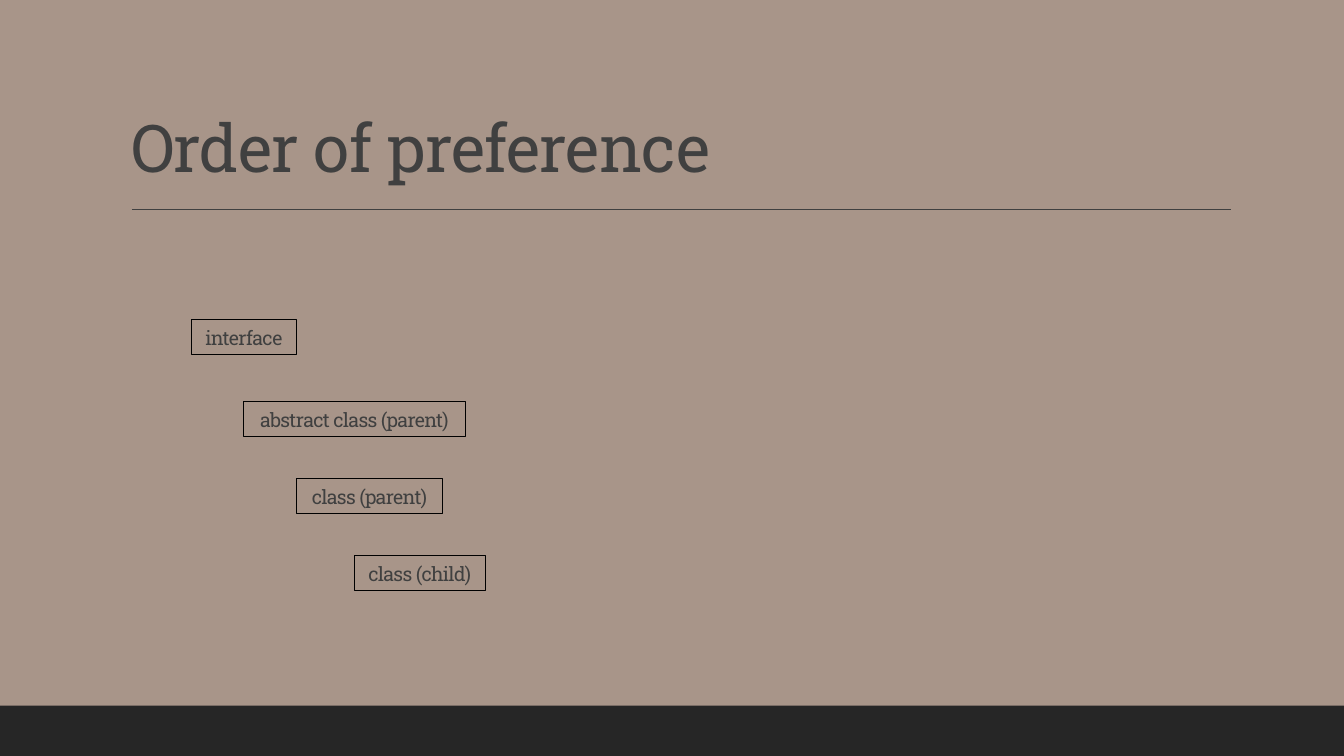
import pptx
import pptx.util
import pptx.dml.color
import pptx.enum.shapes
import pptx.enum.text
import pptx.oxml

Pt = pptx.util.Pt
Align = pptx.enum.text.PP_ALIGN
Rect = pptx.enum.shapes.MSO_SHAPE.RECTANGLE
COLORS = {"back": "A89589", "band": "262626", "text": "404040", "edge": "000000"}
FONT = "Roboto Slab"


def color(name):
    return pptx.dml.color.RGBColor.from_string(COLORS[name])


def write(shape, text, size, align):
    frame = shape.text_frame
    frame.word_wrap = True
    frame.auto_size = pptx.enum.text.MSO_AUTO_SIZE.NONE
    frame.vertical_anchor = pptx.enum.text.MSO_ANCHOR.BOTTOM
    frame.margin_left = frame.margin_right = Pt(7.2)
    frame.margin_top = frame.margin_bottom = Pt(3.6)
    para = frame.paragraphs[0]
    para.alignment = align
    para.line_spacing = 0.9
    para.font.name = FONT
    para.font.size = Pt(size)
    para.font.color.rgb = color("text")
    run = para.add_run()
    run.text = text
    # Tighten letter spacing by half a point
    run._r.get_or_add_rPr().set("spc", "-50")


# Slide and background
deck = pptx.Presentation()
deck.slide_width, deck.slide_height = Pt(960), Pt(540)
slide = deck.slides.add_slide(deck.slide_layouts[5])
slide.background.fill.solid()
slide.background.fill.fore_color.rgb = color("back")
shapes = slide.shapes

# Bottom band
band = shapes.add_shape(Rect, Pt(0), Pt(504), Pt(960), Pt(36))
band.shadow.inherit = False
band.fill.solid()
band.fill.fore_color.rgb = color("band")
band.line.fill.background()

# Rule under the title
rule = shapes.add_connector(
    pptx.enum.shapes.MSO_CONNECTOR.STRAIGHT, Pt(94.3), Pt(149.5), Pt(879), Pt(149.5))
rule.line.color.rgb = color("text")
rule.line.width = Pt(1)
rule._element.spPr.append(pptx.oxml.parse_xml(
    '<a:effectLst xmlns:a="http://schemas.openxmlformats.org/drawingml/2006/main"/>'))

# Title
title = shapes.title
title.left, title.top, title.width, title.height = Pt(86.4), Pt(22.3), Pt(792), Pt(114.5)
write(title, "Order of preference", 47, Align.LEFT)

# Steps in order of preference: text, left, top, width
steps = [
    ("interface", 136.6, 228.1, 75.2),
    ("abstract class (parent)", 174, 286.7, 158.3),
    ("class (parent)", 211.6, 341.7, 104.5),
    ("class (child)", 253.2, 396.7, 93.3),
]
for text, left, top, width in steps:
    box = shapes.add_shape(Rect, Pt(left), Pt(top), Pt(width), Pt(25.2))
    box.shadow.inherit = False
    box.fill.background()
    box.line.color.rgb = color("edge")
    box.line.width = Pt(0.75)
    write(box, text, 14, Align.CENTER)

deck.save("out.pptx")
